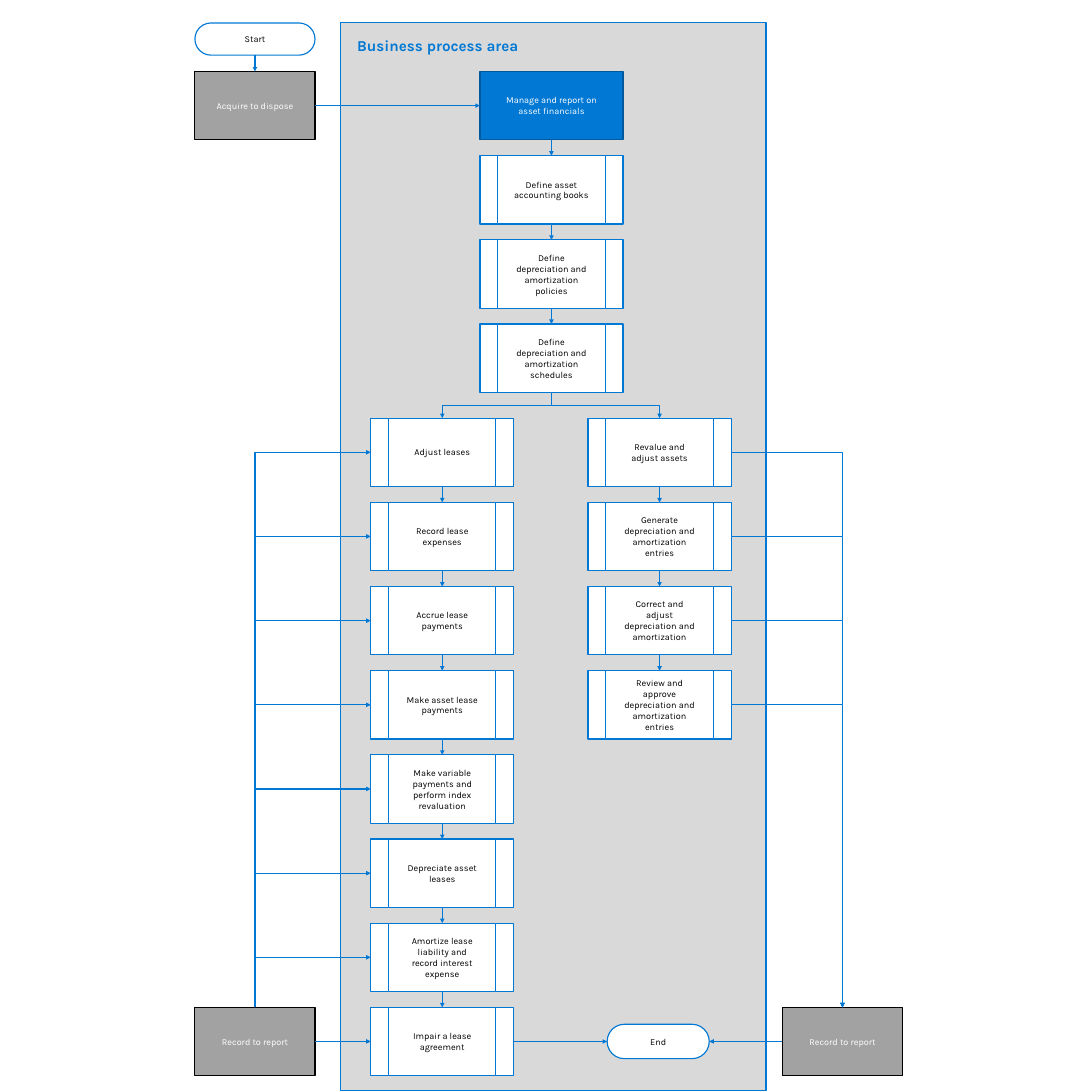
from lxml.etree import SubElement
from pptx import Presentation
from pptx.dml.color import RGBColor
from pptx.enum.shapes import MSO_CONNECTOR, MSO_SHAPE
from pptx.enum.text import MSO_ANCHOR, PP_ALIGN
from pptx.oxml.ns import qn
from pptx.util import Inches, Pt

COLORS = {"blue": "0078D4", "navy": "00599D", "panel": "D9D9D9",
          "gray": "A2A2A2", "black": "000000", "white": "FFFFFF"}
BOX_W, BOX_H = 2.62, 1.25
SIDE_W = 2.2
TOP, BRANCH_TOP, LAST_TOP = 1.31, 7.66, 18.45
PITCH = (LAST_TOP - BRANCH_TOP) / 7
LEFT_X, RIGHT_X = 3.57, 14.33
SETUP_X, LEASE_X, ASSET_X = 8.79, 6.79, 10.77
LAST_MID = LAST_TOP + BOX_H / 2

SETUP = ["Define asset accounting books",
         "Define depreciation and amortization policies",
         "Define depreciation and amortization schedules"]
LEASES = ["Adjust leases", "Record lease expenses", "Accrue lease payments",
          "Make asset lease payments",
          "Make variable payments and perform index revaluation",
          "Depreciate asset leases",
          "Amortize lease liability and record interest expense",
          "Impair a lease agreement"]
ASSETS = ["Revalue and adjust assets",
          "Generate depreciation and amortization entries",
          "Correct and adjust depreciation and amortization",
          "Review and approve depreciation and amortization entries"]


def rgb(name):
    """Return the named colour."""
    return RGBColor.from_string(COLORS[name])


def node(s, kind, box, text, fill="white", line="blue", color="black",
         size=12, bold=None, align=PP_ALIGN.CENTER, anchor=MSO_ANCHOR.MIDDLE):
    """Draw one labelled shape in the given box."""
    sp = s.shapes.add_shape(kind, *map(Inches, box))
    sp.shadow.inherit = False
    if kind == MSO_SHAPE.ROUNDED_RECTANGLE:
        sp.adjustments[0] = 0.5
    sp.fill.solid()
    sp.fill.fore_color.rgb = rgb(fill)
    sp.line.color.rgb = rgb(line)
    sp.line.width = Pt(1.5)
    tf = sp.text_frame
    tf.word_wrap = True
    tf.vertical_anchor = anchor
    tf.margin_left = tf.margin_right = Inches(0.3)
    tf.margin_top = tf.margin_bottom = Inches(0.24)
    p = tf.paragraphs[0]
    p.alignment = align
    r = p.add_run()
    r.text = text
    r.font.name, r.font.size, r.font.bold = "Karla", Pt(size), bold
    r.font.color.rgb = rgb(color)


def arrow(s, x1, y1, x2, y2, width=1.5, kind=MSO_CONNECTOR.STRAIGHT):
    """Draw a connector with an arrowhead at its end."""
    c = s.shapes.add_connector(kind, *map(Inches, (x1, y1, x2, y2)))
    c.line.color.rgb = rgb("blue")
    c.line.width = Pt(width)
    SubElement(c.line._get_or_add_ln(), qn("a:tailEnd"), type="triangle")
    SubElement(c._element.spPr, qn("a:effectLst"))
    return c


def elbow(s, x1, y1, x2, y2, preset, vertical=False):
    """Draw a bent arrow that leaves sideways, or vertically if asked."""
    if vertical:
        cx, cy, dx, dy = (x1 + x2) / 2, (y1 + y2) / 2, x2 - x1, y2 - y1
        x1, y1, x2, y2 = cx - dy / 2, cy + dx / 2, cx + dy / 2, cy - dx / 2
    c = arrow(s, x1, y1, x2, y2, kind=MSO_CONNECTOR.ELBOW)
    spPr = c._element.spPr
    spPr.find(qn("a:prstGeom")).set("prst", preset)
    if vertical:
        spPr.find(qn("a:xfrm")).set("rot", str(90 * 60000))


def step_column(s, x, top, labels, width):
    """Stack process steps at the row pitch and join them with arrows."""
    mid = x + BOX_W / 2
    for i, label in enumerate(labels):
        y = top + i * PITCH
        node(s, MSO_SHAPE.FLOWCHART_PREDEFINED_PROCESS,
             (x, y, BOX_W, BOX_H), label)
        if i:
            arrow(s, mid, y - PITCH + BOX_H, mid, y, width)


def side_box(s, x, y, label):
    """Draw a neighbouring process outside the area."""
    node(s, MSO_SHAPE.RECTANGLE, (x, y, SIDE_W, BOX_H), label,
         "gray", "black", "white")


def setup_region(s):
    """Draw the start, the main process and its setup steps."""
    start_mid, mid = LEFT_X + SIDE_W / 2, SETUP_X + BOX_W / 2
    node(s, MSO_SHAPE.ROUNDED_RECTANGLE, (LEFT_X, 0.42, SIDE_W, 0.59), "Start")
    side_box(s, LEFT_X, TOP, "Acquire to dispose")
    node(s, MSO_SHAPE.RECTANGLE, (SETUP_X, TOP, BOX_W, BOX_H),
         "Manage and report on asset financials", "blue", "navy", "white")
    step_column(s, SETUP_X, TOP + PITCH, SETUP, 1.5)
    arrow(s, start_mid, 1.01, start_mid, TOP)
    arrow(s, LEFT_X + SIDE_W, TOP + BOX_H / 2, SETUP_X, TOP + BOX_H / 2)
    arrow(s, mid, TOP + BOX_H, mid, TOP + PITCH)
    for x in (LEASE_X, ASSET_X):
        elbow(s, mid, TOP + 3 * PITCH + BOX_H, x + BOX_W / 2, BRANCH_TOP,
              "bentConnector3", vertical=True)


def lease_region(s):
    """Draw the lease steps and the report process that feeds them."""
    step_column(s, LEASE_X, BRANCH_TOP, LEASES, 0.75)
    side_box(s, LEFT_X, LAST_TOP, "Record to report")
    for i in range(len(LEASES) - 1):
        elbow(s, LEFT_X + SIDE_W / 2, LAST_TOP, LEASE_X,
              BRANCH_TOP + i * PITCH + BOX_H / 2, "bentConnector2", vertical=True)
    arrow(s, LEFT_X + SIDE_W, LAST_MID, LEASE_X, LAST_MID, 0.75)


def asset_region(s):
    """Draw the asset steps, the report process they feed and the end."""
    step_column(s, ASSET_X, BRANCH_TOP, ASSETS, 0.75)
    side_box(s, RIGHT_X, LAST_TOP, "Record to report")
    for i in range(len(ASSETS)):
        elbow(s, ASSET_X + BOX_W, BRANCH_TOP + i * PITCH + BOX_H / 2,
              RIGHT_X + SIDE_W / 2, LAST_TOP, "bentConnector2")
    end_x, end_w, end_h = 11.12, 1.87, 0.63
    node(s, MSO_SHAPE.ROUNDED_RECTANGLE,
         (end_x, LAST_MID - end_h / 2, end_w, end_h), "End")
    arrow(s, LEASE_X + BOX_W, LAST_MID, end_x, LAST_MID, 0.75)
    arrow(s, RIGHT_X, LAST_MID, end_x + end_w, LAST_MID)


def main():
    """Build the process flow slide."""
    prs = Presentation()
    prs.slide_width = prs.slide_height = Inches(20)
    s = prs.slides.add_slide(prs.slide_layouts[6])
    node(s, MSO_SHAPE.RECTANGLE, (6.24, 0.42, 7.79, 19.56),
         "Business process area", "panel", color="blue", size=20, bold=True,
         align=PP_ALIGN.LEFT, anchor=MSO_ANCHOR.TOP)
    setup_region(s)
    lease_region(s)
    asset_region(s)
    prs.save("out.pptx")


if __name__ == "__main__":
    main()
